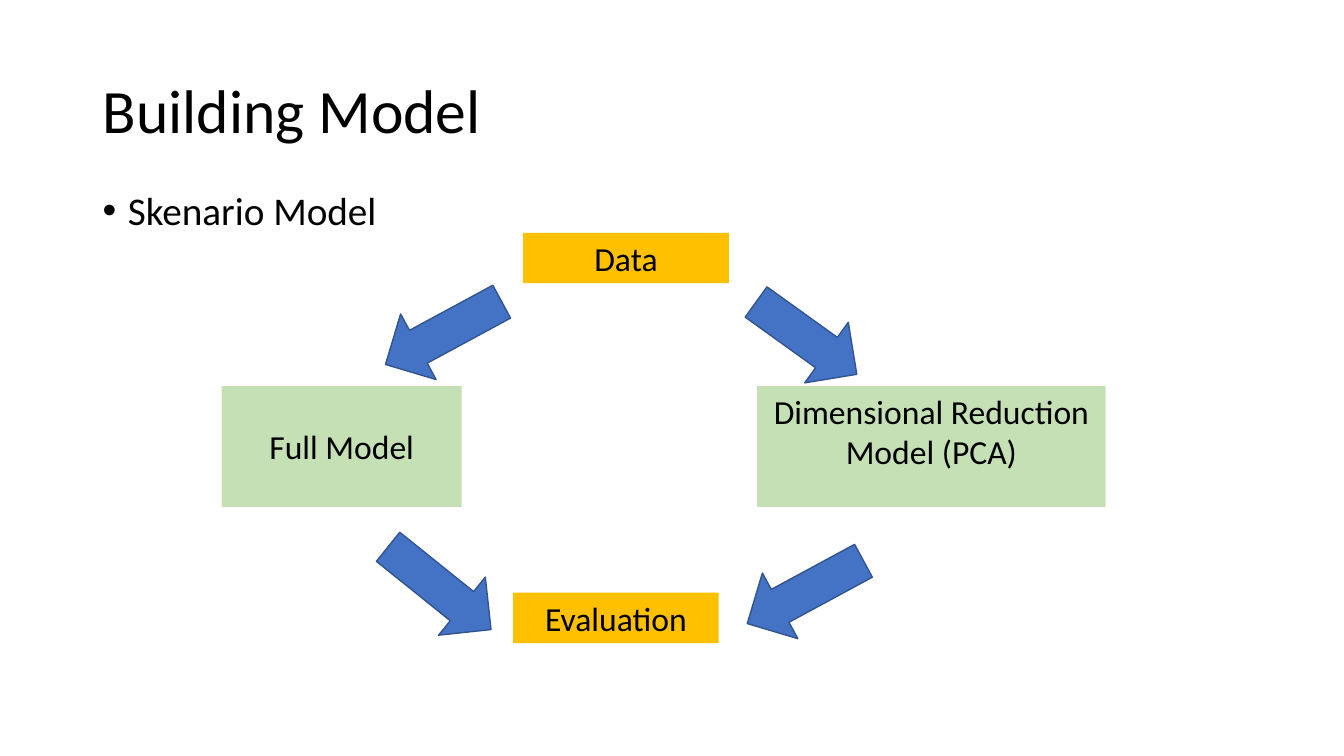
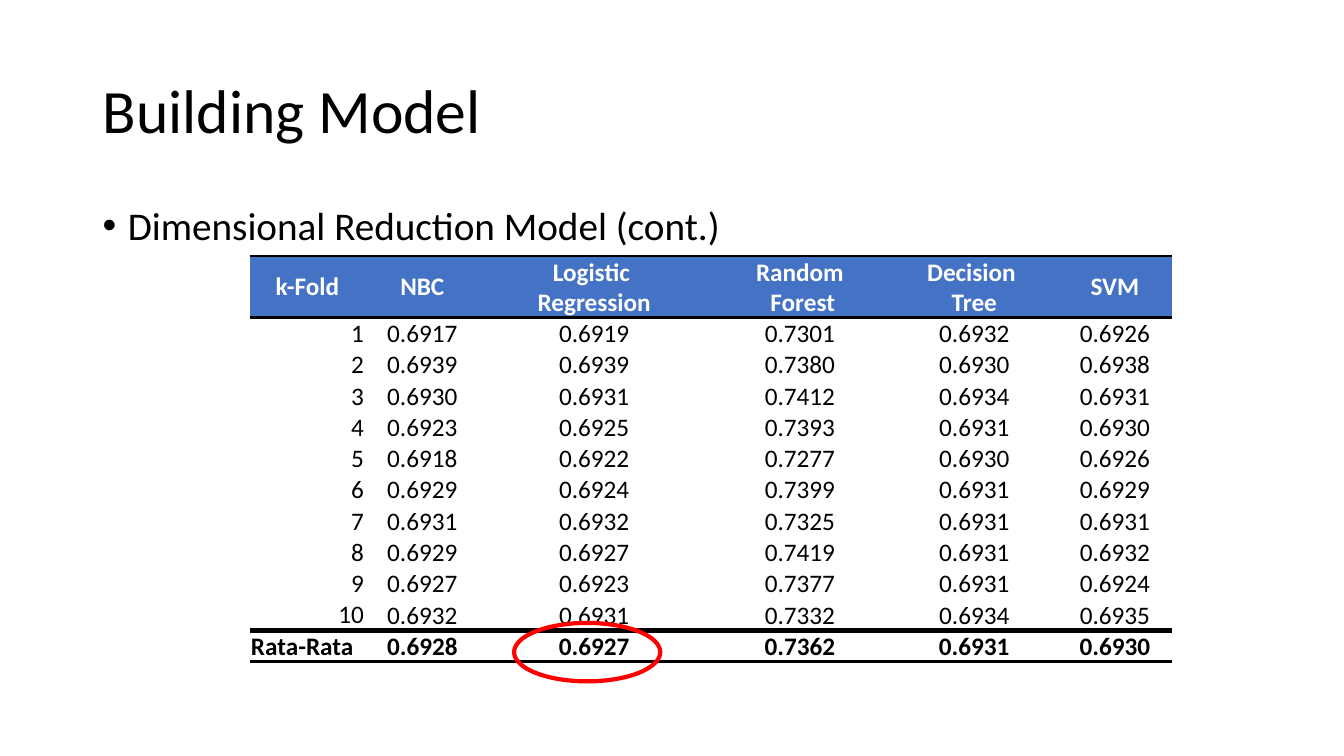
from dataclasses import dataclass
from typing import Any, NamedTuple

from lxml.etree import SubElement
from pptx import Presentation
from pptx.dml.color import RGBColor
from pptx.enum.shapes import MSO_SHAPE
from pptx.enum.text import MSO_ANCHOR, PP_ALIGN
from pptx.oxml import parse_xml
from pptx.oxml.ns import nsdecls, qn
from pptx.util import Emu, Inches, Pt

WIDE, HIGH = Inches(13.33), Inches(7.5)
TOP, MID, LOW = MSO_ANCHOR.TOP, MSO_ANCHOR.MIDDLE, MSO_ANCHOR.BOTTOM
LEFT, MIDST, RIGHT = PP_ALIGN.LEFT, PP_ALIGN.CENTER, PP_ALIGN.RIGHT
PLAIN_GRID = "{2D5ABB26-0587-4C30-8999-92F81FD0307C}"


@dataclass(frozen=True)
class Theme:
    """Colours, font and type sizes of the deck."""
    font: str = "Calibri"
    ink: str = "000000"
    paper: str = "FFFFFF"
    blue: str = "4472C4"
    edge: str = "325491"
    gold: str = "FFC000"
    green: str = "C5E0B4"
    red: str = "FF0000"
    title: int = 44
    body: int = 28
    label: int = 24
    cell: int = 18


class Area(NamedTuple):
    """Left, top, width and height in percent of the slide."""
    x: float
    y: float
    w: float
    h: float


class Box(NamedTuple):
    """A filled box of the flow."""
    text: str
    area: Area
    fill: str
    anchor: Any = TOP


class Arrow(NamedTuple):
    """A block arrow of the flow, turned in degrees."""
    x: float
    y: float
    turn: float
    h: float = 17.47


THEME = Theme()
TITLE = Area(6.9, 5.33, 86.25, 19.33)
ARROW_W = 5.55

BOXES = [
    Box("Data", Area(38.93, 30.8, 15.3, 6.67), THEME.gold),
    Box("Full Model", Area(16.5, 51.07, 17.85, 16), THEME.green, MID),
    Box("Dimensional Reduction\nModel (PCA)",
        Area(56.33, 51.07, 25.95, 16), THEME.green),
    Box("Evaluation", Area(38.18, 78.4, 15.3, 6.67), THEME.gold),
]
ARROWS = [
    Arrow(57.23, 36.53, 305.7, 16.4),
    Arrow(30.23, 35.33, 61.6),
    Arrow(29.93, 69.07, 308.8),
    Arrow(57.15, 69.6, 61.6),
]

GRID = Area(18.6, 33.87, 68.64, 50.8)
COLS = [8.55, 8.55, 17.03, 13.58, 12.38, 8.55]
HEAD_H, ROW_H = 6.8, 4
RING = Area(38.25, 82.4, 10.88, 7.73)
HEADS = ["k-Fold", "NBC", "Logistic \nRegression", "Random\n Forest",
         "Decision \nTree", "SVM"]
FOLDS = [
    (0.6917, 0.6919, 0.7301, 0.6932, 0.6926),
    (0.6939, 0.6939, 0.7380, 0.6930, 0.6938),
    (0.6930, 0.6931, 0.7412, 0.6934, 0.6931),
    (0.6923, 0.6925, 0.7393, 0.6931, 0.6930),
    (0.6918, 0.6922, 0.7277, 0.6930, 0.6926),
    (0.6929, 0.6924, 0.7399, 0.6931, 0.6929),
    (0.6931, 0.6932, 0.7325, 0.6931, 0.6931),
    (0.6929, 0.6927, 0.7419, 0.6931, 0.6932),
    (0.6927, 0.6923, 0.7377, 0.6931, 0.6924),
    (0.6932, 0.6931, 0.7332, 0.6934, 0.6935),
]
MEANS = (0.6928, 0.6927, 0.7362, 0.6931, 0.6930)


def across(share: float) -> Emu:
    """Turn percent of the width into a length."""
    return Emu(round(WIDE * share / 100))


def down(share: float) -> Emu:
    """Turn percent of the height into a length."""
    return Emu(round(HIGH * share / 100))


def place(area: Area) -> tuple:
    """Give the four lengths of an area."""
    return across(area.x), down(area.y), across(area.w), down(area.h)


def apply(thing: Any, form: dict) -> None:
    """Set each format value on the thing."""
    for name, value in form.items():
        setattr(thing, name, value)


def write(frame: Any, text: str, size: int, color: str = THEME.ink,
          bold: bool = False, **form: Any) -> None:
    """Fill a text frame, one paragraph per line."""
    frame.text = text
    for para in frame.paragraphs:
        apply(para, form)
        for run in para.runs:
            apply(run.font, {"name": THEME.font, "size": Pt(size), "bold": bold})
            run.font.color.rgb = RGBColor.from_string(color)


def add_text(slide: Any, area: Area, text: str, size: int,
             anchor: Any, **form: Any) -> Any:
    """Add a wrapped text box."""
    box = slide.shapes.add_textbox(*place(area))
    apply(box.text_frame, {"word_wrap": True, "vertical_anchor": anchor})
    write(box.text_frame, text, size, line_spacing=0.9, **form)
    return box


def add_form(slide: Any, kind: Any, area: Area, fill: str = "",
             line: str = "", width: float = 1) -> Any:
    """Add a preset shape with flat fill and line."""
    shape = slide.shapes.add_shape(kind, *place(area))
    shape.shadow.inherit = False
    if fill:
        shape.fill.solid()
        shape.fill.fore_color.rgb = RGBColor.from_string(fill)
    else:
        shape.fill.background()
    if line:
        shape.line.color.rgb = RGBColor.from_string(line)
        shape.line.width = Pt(width)
    else:
        shape.line.fill.background()
    return shape


def add_page(deck: Any, point: str, top: float, high: float) -> Any:
    """Add a slide with the shared title and one bullet."""
    slide = deck.slides.add_slide(deck.slide_layouts[6])
    add_text(slide, TITLE, "Building Model", THEME.title, MID)
    area = TITLE._replace(y=top, h=high)
    body = add_text(slide, area, point, THEME.body, TOP, space_before=Pt(10))
    for props in body.element.iter(qn("a:pPr")):
        indent = Inches(0.25)
        props.set("marL", str(indent))
        props.set("indent", str(-indent))
        SubElement(props, qn("a:buFont"), typeface="Arial")
        SubElement(props, qn("a:buChar"), char="•")
    return slide


def add_flow(slide: Any) -> None:
    """Draw the boxes and arrows of the flow."""
    for box in BOXES:
        shape = add_form(slide, MSO_SHAPE.RECTANGLE, box.area, box.fill)
        apply(shape.text_frame, {"word_wrap": True, "vertical_anchor": box.anchor})
        write(shape.text_frame, box.text, THEME.label, alignment=MIDST)
    for arrow in ARROWS:
        area = Area(arrow.x, arrow.y, ARROW_W, arrow.h)
        shape = add_form(slide, MSO_SHAPE.DOWN_ARROW, area, THEME.blue, THEME.edge)
        shape.rotation = arrow.turn


def rule(props: Any, top: int, base: int) -> None:
    """Rule a cell above and below, widths in points."""
    for spot, (side, width) in enumerate((("lnT", top), ("lnB", base))):
        props.insert(spot, parse_xml(
            f'<a:{side} {nsdecls("a")} w="{Pt(width)}"><a:solidFill>'
            f'<a:srgbClr val="{THEME.ink}"/></a:solidFill></a:{side}>'))


def add_scores(slide: Any) -> None:
    """Draw the table of scores per fold."""
    rows = [HEADS]
    rows += [[str(fold), *(f"{score:.4f}" for score in scores)]
             for fold, scores in enumerate(FOLDS, 1)]
    rows.append(["Rata-Rata", *(f"{mean:.4f}" for mean in MEANS)])
    last = len(rows) - 1
    frame = slide.shapes.add_table(len(rows), len(COLS), *place(GRID))
    for style in frame.element.iter(qn("a:tableStyleId")):
        style.text = PLAIN_GRID
    table = frame.table
    for col, share in zip(table.columns, COLS):
        col.width = across(share)
    for r, texts in enumerate(rows):
        head, mean = r == 0, r == last
        table.rows[r].height = down(HEAD_H if head else ROW_H)
        for c, text in enumerate(texts):
            cell = table.cell(r, c)
            first = c == 0 and not head
            inset = Inches(0.01)
            apply(cell, {"margin_left": inset, "margin_right": inset,
                         "margin_top": inset, "margin_bottom": 0,
                         "vertical_anchor": LOW if first or mean else MID})
            cell.fill.solid()
            cell.fill.fore_color.rgb = RGBColor.from_string(
                THEME.blue if head else THEME.paper)
            side = (LEFT if mean else RIGHT) if first else MIDST
            write(cell.text_frame, text, THEME.cell,
                  THEME.paper if head else THEME.ink, head or mean, alignment=side)
    for spot, props in enumerate(frame.element.iter(qn("a:tcPr"))):
        r = spot // len(COLS)
        if r in (0, last):
            rule(props, 4 if r == last else 2, 2)


def main() -> None:
    """Build and save the deck."""
    deck = Presentation()
    apply(deck, {"slide_width": WIDE, "slide_height": HIGH})
    add_flow(add_page(deck, "Skenario Model", 24.67, 8.13))
    page = add_page(deck, "Dimensional Reduction Model (cont.)", 26.67, 63.47)
    add_scores(page)
    add_form(page, MSO_SHAPE.OVAL, RING, line=THEME.red, width=3)
    deck.save("out.pptx")


main()
